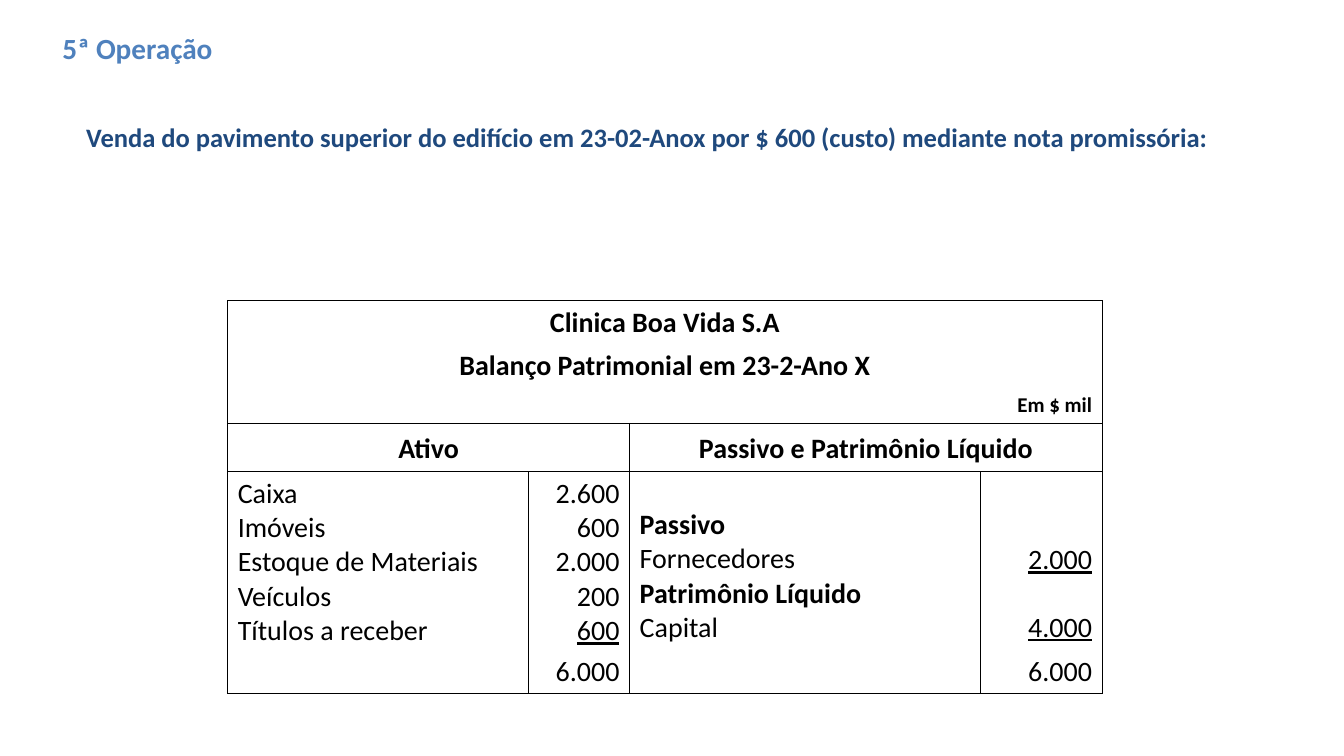
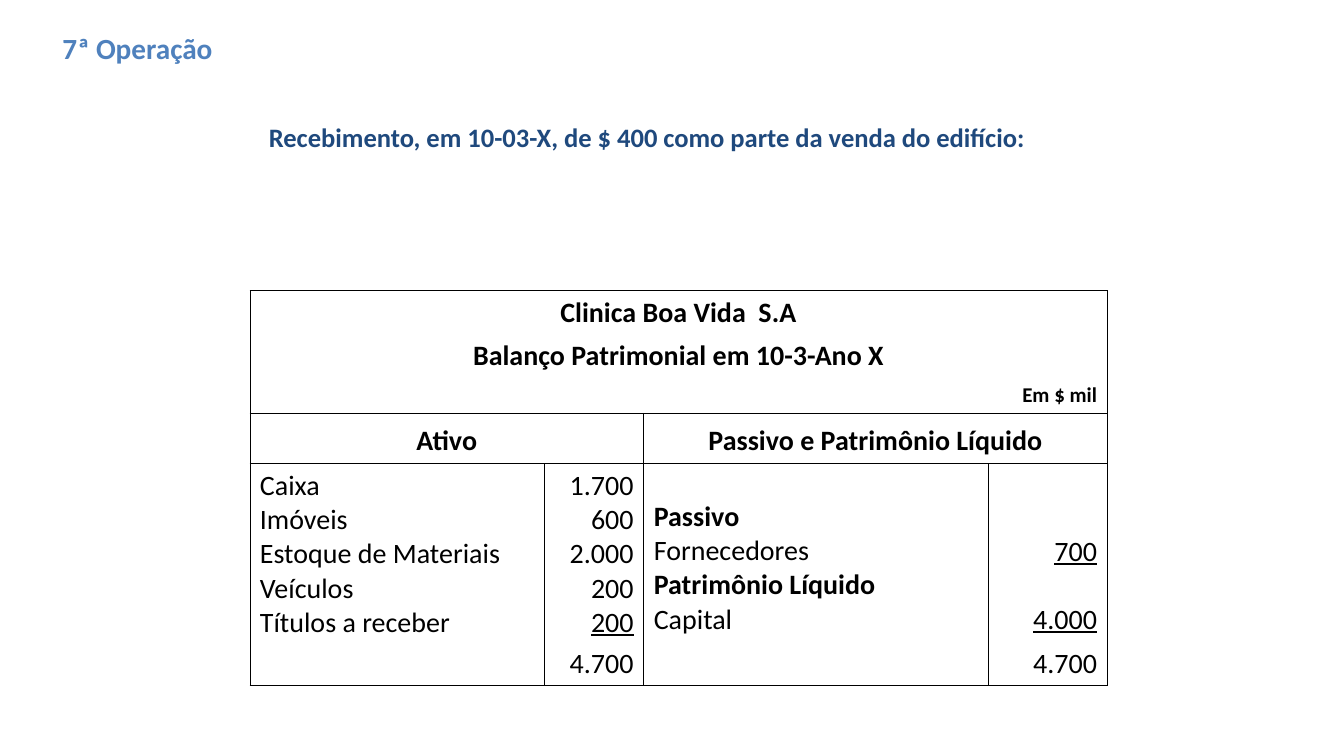
"""Build two slides that each show a balance sheet after an operation."""
import pptx
import pptx.dml.color
import pptx.enum.text
import pptx.oxml
import pptx.oxml.ns
import pptx.util

Inches = pptx.util.Inches
Pt = pptx.util.Pt
ALIGN = pptx.enum.text.PP_ALIGN
ANCHOR = pptx.enum.text.MSO_ANCHOR
COLORS = {"title": "4F81BD", "lead": "1F497D", "ink": "000000", "paper": "FFFFFF"}
FONT = "Calibri"
HEADS = ("Passivo", "Patrimônio Líquido")
ASSETS = ["Caixa", "Imóveis", "Estoque de Materiais", "Veículos", "Títulos a receber"]
CLAIMS = ["Passivo", "Fornecedores", "Patrimônio Líquido", "Capital"]
TOPS = (0, 3, 4)
ENDS = (2, 3, 5)

SLIDES = [
    {
        "title": "5ª Operação",
        "lead": "Venda do pavimento superior do edifício em 23-02-Anox por $ 600 (custo) mediante nota promissória:",
        "firm": "Clinica Boa Vida S.A",
        "date": "Balanço Patrimonial em 23-2-Ano X",
        "assets": ["2.600", "600", "2.000", "200", "600"],
        "claims": ["2.000", "4.000"],
        "total": "6.000",
        "place": (2.26, 2.98),
        "cols": (2.98, 1.01, 3.48, 1.21),
        "head": 0.48,
    },
    {
        "title": "7ª Operação",
        "lead": "Recebimento, em 10-03-X, de $ 400 como parte da venda do edifício:",
        "firm": "Clinica Boa Vida  S.A",
        "date": "Balanço Patrimonial em 10-3-Ano X",
        "assets": ["1.700", "600", "2.000", "200", "200"],
        "claims": ["700", "4.000"],
        "total": "4.700",
        "place": (2.48, 2.88),
        "cols": (2.92, 0.99, 3.42, 1.18),
        "head": 0.5,
    },
]


def style(para, size, color, bold, align):
    """Set the font and alignment of a paragraph."""
    para.alignment = align
    para.font.name = FONT
    para.font.size = Pt(size)
    para.font.bold = bold
    para.font.color.rgb = pptx.dml.color.RGBColor.from_string(COLORS[color])


def border(cell, row):
    """Rule the sides of a cell according to its row."""
    drawn = {"L": True, "R": True, "T": row in TOPS, "B": row in ENDS}
    for side, shown in drawn.items():
        fill = "<a:noFill/>"
        if shown:
            fill = f'<a:solidFill><a:srgbClr val="{COLORS["ink"]}"/></a:solidFill>'
        cell._tc.get_or_add_tcPr().append(pptx.oxml.parse_xml(
            f'<a:ln{side} {pptx.oxml.ns.nsdecls("a")} w="{Pt(0.45)}">{fill}</a:ln{side}>'))


deck = pptx.Presentation()
deck.slide_width = Inches(13.34)
deck.slide_height = Inches(7.5)

for data in SLIDES:
    slide = deck.slides.add_slide(deck.slide_layouts[5])
    title = slide.shapes.title
    title.left, title.top = Inches(0.52), Inches(0.24)
    title.width, title.height = Inches(9.1), Inches(0.47)
    title.text_frame.text = data["title"]
    title.text_frame.auto_size = pptx.enum.text.MSO_AUTO_SIZE.NONE
    title.text_frame.vertical_anchor = ANCHOR.MIDDLE
    style(title.text_frame.paragraphs[0], 20.9, "title", True, ALIGN.LEFT)

    lead = slide.shapes.add_textbox(Inches(0.52), Inches(1.07), Inches(11.8), Inches(0.5))
    lead.text_frame.word_wrap = True
    lead.text_frame.text = data["lead"]
    para = lead.text_frame.paragraphs[0]
    para.line_spacing = 1.25
    para.space_after = Pt(4.5)
    style(para, 19, "lead", True, ALIGN.CENTER)

    rows = (0.43, 0.43, 0.35, data["head"], 1.77, 0.43)
    left, top = data["place"]
    table = slide.shapes.add_table(
        len(rows), len(data["cols"]), Inches(left), Inches(top),
        Inches(sum(data["cols"])), Inches(sum(rows))).table
    table.first_row = False
    table.horz_banding = False
    for col, width in enumerate(data["cols"]):
        table.columns[col].width = Inches(width)
    for row, height in enumerate(rows):
        table.rows[row].height = Inches(height)
        for cell in table.rows[row].cells:
            border(cell, row)
            cell.fill.solid()
            cell.fill.fore_color.rgb = pptx.dml.color.RGBColor.from_string(COLORS["paper"])
            cell.vertical_anchor = ANCHOR.BOTTOM

    entries = [
        (0, 0, 4, ALIGN.CENTER, [data["firm"]]),
        (1, 0, 4, ALIGN.CENTER, [data["date"]]),
        (2, 0, 4, ALIGN.RIGHT, ["Em $ mil"]),
        (3, 0, 2, ALIGN.CENTER, ["Ativo"]),
        (3, 2, 2, ALIGN.CENTER, ["Passivo e Patrimônio Líquido"]),
        (4, 0, 1, ALIGN.LEFT, ASSETS),
        (4, 1, 1, ALIGN.RIGHT, data["assets"]),
        (4, 2, 1, ALIGN.LEFT, CLAIMS),
        (4, 3, 1, ALIGN.RIGHT, data["claims"]),
        (5, 1, 1, ALIGN.RIGHT, [data["total"]]),
        (5, 3, 1, ALIGN.RIGHT, [data["total"]]),
    ]
    for row, col, span, align, lines in entries:
        cell = table.cell(row, col)
        if span > 1:
            cell.merge(table.cell(row, col + span - 1))
        cell.text_frame.text = "\n".join(lines)
        for spot, para in enumerate(cell.text_frame.paragraphs):
            bold = row < 4 or para.text in HEADS
            style(para, 15 if row == 2 else 20, "ink", bold, align)
            if row == 4 and (col == 3 or col == 1 and spot == len(lines) - 1):
                para.font.underline = True
            if row == 4 and col == 3 and spot:
                para.space_before = Pt(24)

deck.save("out.pptx")
